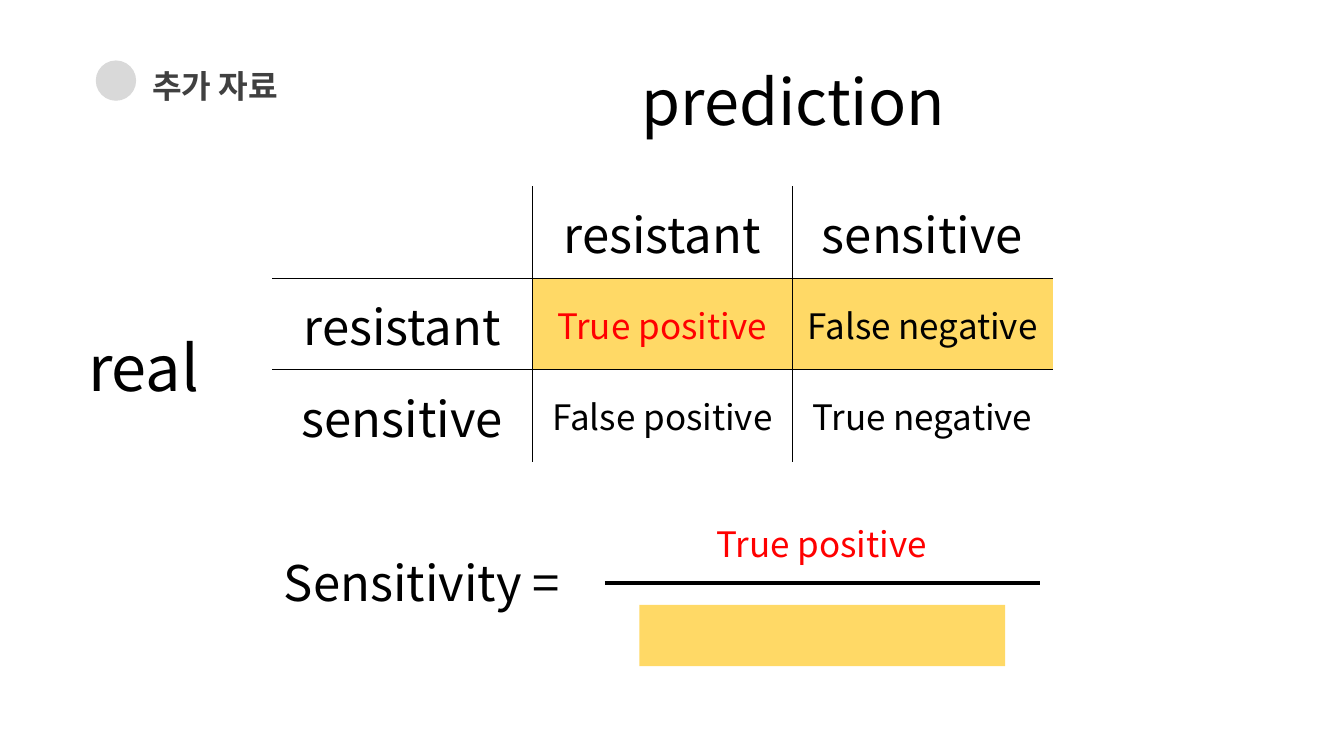
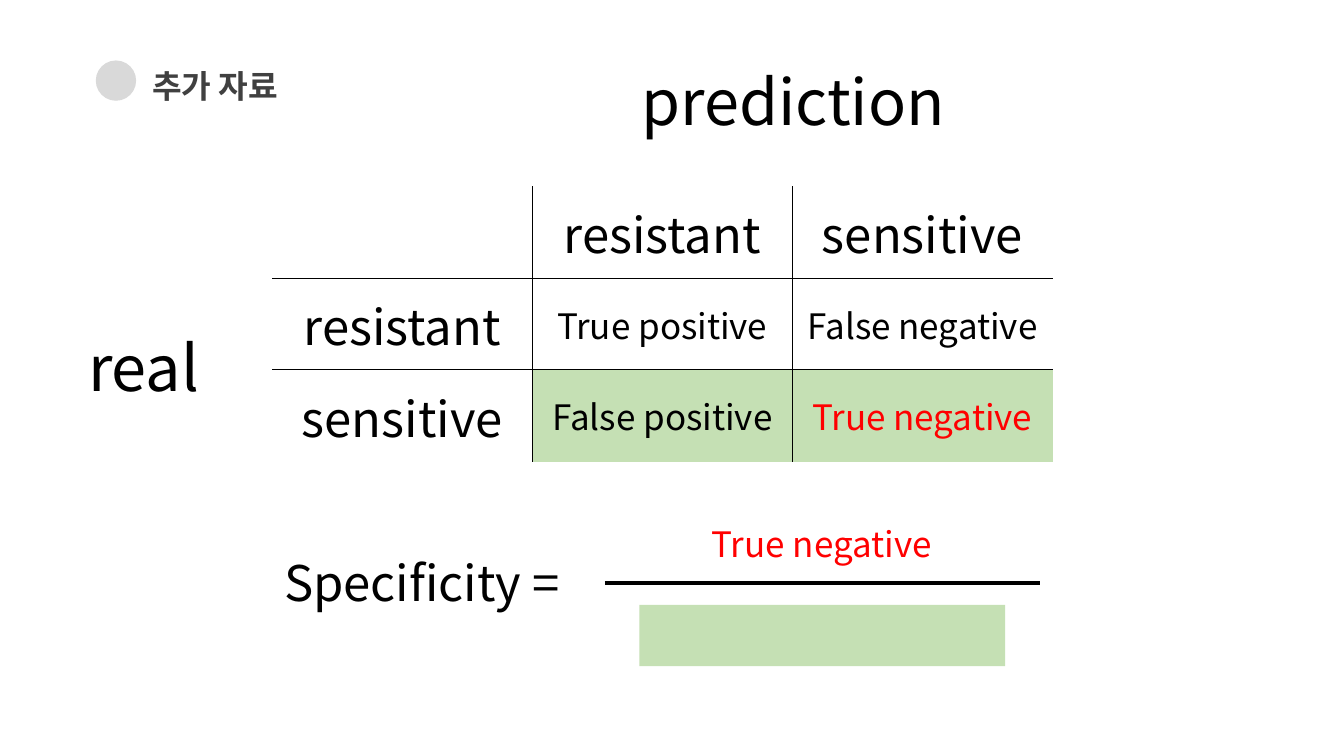
from dataclasses import dataclass
from lxml.etree import SubElement
from pptx import Presentation
from pptx.dml.color import RGBColor
from pptx.enum.shapes import MSO_CONNECTOR, MSO_SHAPE
from pptx.enum.text import MSO_ANCHOR, MSO_AUTO_SIZE, PP_ALIGN
from pptx.oxml import parse_xml
from pptx.oxml.ns import nsdecls, qn
from pptx.util import Inches, Pt


@dataclass(frozen=True)
class Theme:
    font: str = "Noto Sans CJK KR"
    ink: str = "000000"
    accent: str = "FF0000"
    heading: str = "404040"
    marker: str = "D9D9D9"
    yellow: str = "FFD966"
    green: str = "C5E0B4"
    axis_size: int = 45
    label_size: int = 35
    outcome_size: int = 25
    title_size: int = 23
    grid_line: int = 1
    fraction_line: float = 2.75


@dataclass(frozen=True)
class Box:
    left: int
    top: int
    width: int
    height: int

    def share(self, left, top, width, height):
        return Box(int(self.left + self.width * left / 100),
                   int(self.top + self.height * top / 100),
                   int(self.width * width / 100),
                   int(self.height * height / 100))

    def edges(self):
        return self.left, self.top, self.width, self.height


THEME = Theme()
SHEET = Box(0, 0, Inches(13.33), Inches(7.5))
CLASSES = ("resistant", "sensitive")
OUTCOMES = (("True positive", "False negative"),
            ("False positive", "True negative"))
MEASURES = (
    {"name": "Sensitivity", "focus": 0, "tint": THEME.yellow},
    {"name": "Specificity", "focus": 1, "tint": THEME.green},
)


def apply(target, formats):
    for name, value in formats.items():
        setattr(target, name, value)


def write(frame, text, size, color=THEME.ink, bold=False, **layout):
    para = frame.paragraphs[0]
    apply(para, {"alignment": PP_ALIGN.CENTER, **layout})
    span = para.add_run()
    span.text = text
    apply(span.font, {"name": THEME.font, "size": Pt(size), "bold": bold})
    span.font.color.rgb = RGBColor.from_string(color)
    SubElement(span.font._element, qn("a:ea"), typeface=THEME.font)


def add_label(page, box, text, size, color=THEME.ink):
    frame = page.shapes.add_textbox(*box.edges()).text_frame
    frame.word_wrap = True
    write(frame, text, size, color)


def add_block(page, box, preset, color):
    block = page.shapes.add_shape(preset, *box.edges())
    block.shadow.inherit = False
    block.fill.solid()
    block.fill.fore_color.rgb = RGBColor.from_string(color)
    block.line.fill.background()


def add_rule(page, box):
    rule = page.shapes.add_connector(MSO_CONNECTOR.STRAIGHT, box.left, box.top,
                                     box.left + box.width, box.top)
    rule.line.width = Pt(THEME.fraction_line)
    rule.line.color.rgb = RGBColor.from_string(THEME.ink)
    SubElement(rule._element.spPr, qn("a:effectLst"))


def set_borders(cell, row, column, last):
    inner = {"L": column > 0, "R": column < last, "T": row > 0, "B": row < last}
    properties = cell._tc.get_or_add_tcPr()
    for index, (side, drawn) in enumerate(inner.items()):
        paint = (f'<a:solidFill><a:srgbClr val="{THEME.ink}"/></a:solidFill>'
                 if drawn else "<a:noFill/>")
        properties.insert(index, parse_xml(
            f'<a:ln{side} {nsdecls("a")} w="{Pt(THEME.grid_line)}">{paint}</a:ln{side}>'))


def add_header(page, box):
    title = page.shapes.title
    apply(title, dict(zip(("left", "top", "width", "height"),
                          box.share(7.09, 0, 92.91, 100).edges())))
    apply(title.text_frame, {"auto_size": MSO_AUTO_SIZE.NONE, "word_wrap": True,
                             "vertical_anchor": MSO_ANCHOR.TOP})
    write(title.text_frame, "추가 자료", THEME.title_size, THEME.heading, True,
          alignment=PP_ALIGN.LEFT, line_spacing=1.5)
    add_block(page, box.share(0, 29.51, 6.16, 65.57), MSO_SHAPE.OVAL, THEME.marker)


def add_matrix(page, box, focus, tint):
    area = box.share(24.78, 31.92, 75.22, 68.08)
    rows = [("", *CLASSES)]
    rows += [(name, *line) for name, line in zip(CLASSES, OUTCOMES)]
    count = len(rows)
    table = page.shapes.add_table(count, count, *area.edges()).table
    apply(table, {"first_row": False, "horz_banding": False})
    for row, texts in enumerate(rows):
        for column, text in enumerate(texts):
            cell = table.cell(row, column)
            cell.vertical_anchor = MSO_ANCHOR.MIDDLE
            outcome = row > 0 and column > 0
            if outcome and row - 1 == focus:
                cell.fill.solid()
                cell.fill.fore_color.rgb = RGBColor.from_string(tint)
            else:
                cell.fill.background()
            set_borders(cell, row, column, count - 1)
            if text:
                hit = outcome and row == column == focus + 1
                write(cell.text_frame, text,
                      THEME.outcome_size if outcome else THEME.label_size,
                      THEME.accent if hit else THEME.ink)
    add_label(page, box.share(0, 65.84, 24.78, 21.45), "real", THEME.axis_size)
    add_label(page, box.share(56.37, 0, 37.22, 21.45), "prediction", THEME.axis_size)


def add_formula(page, box, name, focus, tint):
    add_label(page, box.share(0, 20.27, 50.49, 46.62), f"{name} = ", THEME.label_size)
    add_block(page, box.share(51.11, 58.78, 44.7, 41.22), MSO_SHAPE.RECTANGLE, tint)
    add_rule(page, box.share(46.92, 43.92, 53.08, 0))
    add_label(page, box.share(48.15, 0, 50.49, 35.14), OUTCOMES[focus][focus],
              THEME.outcome_size, THEME.accent)


def add_measure_page(deck, name, focus, tint):
    page = deck.slides.add_slide(deck.slide_layouts.get_by_name("Title Only"))
    add_matrix(page, SHEET.share(1.13, 7.6, 77.19, 53.47), focus, tint)
    add_formula(page, SHEET.share(16.43, 68.4, 60.92, 19.73), name, focus, tint)
    add_header(page, SHEET.share(7.13, 5.6, 48.69, 8.13))


deck = Presentation()
apply(deck, {"slide_width": SHEET.width, "slide_height": SHEET.height})
for measure in MEASURES:
    add_measure_page(deck, **measure)
deck.save("out.pptx")
